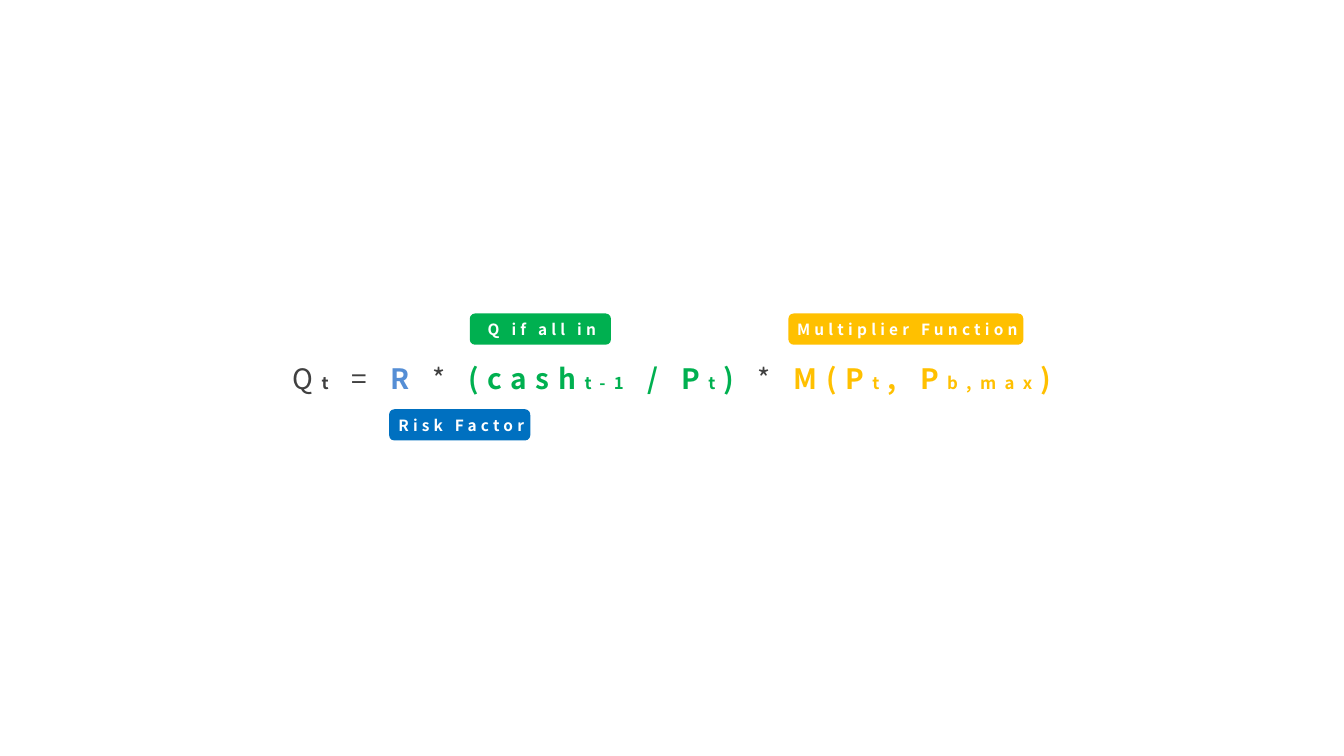
from dataclasses import dataclass

from pptx import Presentation
from pptx.dml.color import RGBColor
from pptx.enum.shapes import MSO_SHAPE
from pptx.enum.text import MSO_ANCHOR, MSO_AUTO_SIZE, PP_ALIGN
from pptx.util import Inches, Pt

ROUNDED = MSO_SHAPE.ROUNDED_RECTANGLE
CENTER = PP_ALIGN.CENTER
MIDDLE = MSO_ANCHOR.MIDDLE
FIT_SHAPE = MSO_AUTO_SIZE.SHAPE_TO_FIT_TEXT


@dataclass(frozen=True)
class Theme:
    font: str = "Noto Sans CJK SC"
    ink: str = "404040"
    risk: str = "558ED5"
    risk_tag: str = "0070C0"
    all_in: str = "00B050"
    multiplier: str = "FFC000"
    white: str = "FFFFFF"
    term_size: int = 20
    subscript_size: int = 12
    tag_size: int = 11
    formula_spacing: int = 6
    tag_spacing: int = 3


THEME = Theme()
TERM, SUB = THEME.term_size, THEME.subscript_size

# text, size, colour, bold
FORMULA = [
    ("Q", TERM, THEME.ink, False),
    ("t", SUB, THEME.ink, True),
    (" = ", TERM, THEME.ink, False),
    ("R", TERM, THEME.risk, True),
    (" * ", TERM, THEME.ink, False),
    ("(cash", TERM, THEME.all_in, True),
    ("t-1", SUB, THEME.all_in, True),
    (" / P", TERM, THEME.all_in, True),
    ("t", SUB, THEME.all_in, True),
    (")", TERM, THEME.all_in, True),
    (" * ", TERM, THEME.ink, False),
    ("M(P", TERM, THEME.multiplier, True),
    ("t", SUB, THEME.multiplier, True),
    (", P", TERM, THEME.multiplier, True),
    ("b,max", SUB, THEME.multiplier, True),
    (")", TERM, THEME.multiplier, True),
]

# text, colour, left, top, width, text width
TAGS = [
    ("Multiplier Function", THEME.multiplier, 7.82, 3.11, 2.33, 2.42),
    ("Risk Factor", THEME.risk_tag, 3.86, 4.06, 1.4, 1.48),
    ("Q if all in", THEME.all_in, 4.66, 3.11, 1.4, 1.31),
]
TAG_HEIGHT = 0.31
TAG_TEXT_HEIGHT = 0.29
TAG_TEXT_SHIFT = 0.015  # balances the letter spacing after the last letter


def add_text(shapes, left, top, width, height, runs, spacing, wrap):
    """Add a centred line of letter-spaced runs."""
    sp = shapes.add_textbox(Inches(left), Inches(top), Inches(width), Inches(height))
    tf = sp.text_frame
    tf.word_wrap = wrap
    tf.auto_size = FIT_SHAPE
    tf.vertical_anchor = MIDDLE
    p = tf.paragraphs[0]
    p.alignment = CENTER
    for text, size, color, bold in runs:
        r = p.add_run()
        r.text = text
        r.font.name = THEME.font
        r.font.size = Pt(size)
        r.font.bold = bold
        r.font.color.rgb = RGBColor.from_string(color)
        r.font._element.set("spc", str(spacing * 100))


def add_tag(slide, text, color, left, top, width, text_width):
    """Add a rounded label with its text as one group."""
    shapes = slide.shapes.add_group_shape().shapes
    sp = shapes.add_shape(ROUNDED, Inches(left), Inches(top),
                          Inches(width), Inches(TAG_HEIGHT))
    sp.shadow.inherit = False
    sp.fill.solid()
    sp.fill.fore_color.rgb = RGBColor.from_string(color)
    sp.line.fill.background()
    text_left = left + (width - text_width) / 2 + TAG_TEXT_SHIFT
    text_top = top + (TAG_HEIGHT - TAG_TEXT_HEIGHT) / 2
    add_text(shapes, text_left, text_top, text_width, TAG_TEXT_HEIGHT,
             [(text, THEME.tag_size, THEME.white, True)], THEME.tag_spacing, False)


def main():
    prs = Presentation()
    prs.slide_width = Inches(13.33)
    prs.slide_height = Inches(7.5)
    slide = prs.slides.add_slide(prs.slide_layouts[6])
    add_text(slide.shapes, 2.73, 3.53, 7.87, 0.44, FORMULA,
             THEME.formula_spacing, True)
    for tag in TAGS:
        add_tag(slide, *tag)
    prs.save("out.pptx")


if __name__ == "__main__":
    main()
